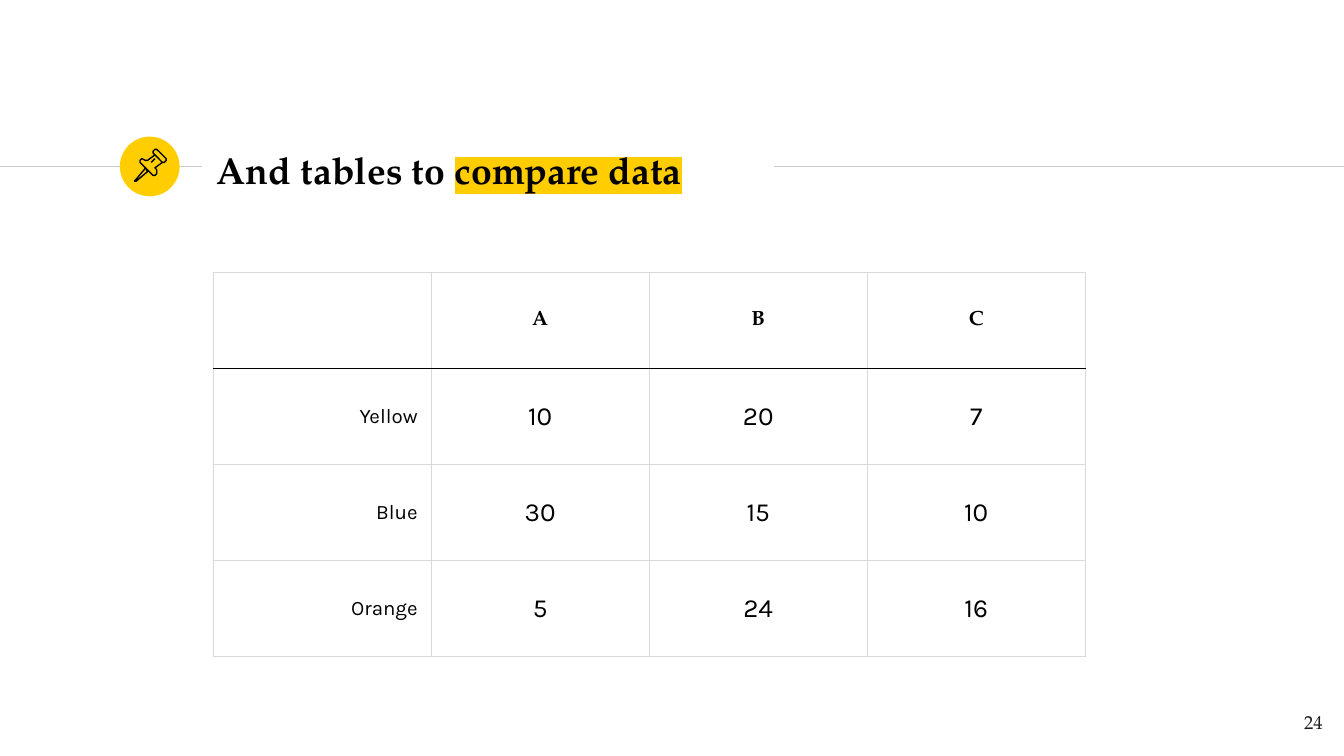
"""Build a slide with a highlighted title, a pin badge and a comparison table."""
from lxml import etree
from pptx import Presentation
from pptx.dml.color import RGBColor
from pptx.enum import shapes, text
from pptx.oxml import ns
from pptx.util import Pt

BLACK = RGBColor(0x00, 0x00, 0x00)
INK = RGBColor(0x1D, 0x1D, 0x1B)
YELLOW = RGBColor(0xFF, 0xCD, 0x00)
RULE = RGBColor(0xCC, 0xCC, 0xCC)
GRID = RGBColor(0xD9, 0xD9, 0xD9)
SERIF, SANS = "TeX Gyre Pagella", "Karla"
THIN = Pt(0.75)

TITLE = [("And tables to ", None), ("compare data", YELLOW)]
ROWS = [
    ("", "A", "B", "C"),
    ("Yellow", "10", "20", "7"),
    ("Blue", "30", "15", "10"),
    ("Orange", "5", "24", "16"),
]
PAGE = "24"
COL_W, ROW_H = 116.8, 51.4
RULE_Y = 89.2
RULE_SPANS = [(0, 108.2), (414.8, 720)]
PIN = [
    ([(77.8, 90), (72.9, 96.4), (72.2, 97.4), (73.2, 96.7), (79.4, 91.6)], True),
    ([(82.8, 83), (86.6, 86.8), (87.5, 87), (88.4, 86.7), (89.1, 86.2),
      (89.4, 85.7), (89.1, 85.3), (83.9, 80.2), (83.4, 80.1), (82.7, 80.5),
      (82.3, 81.2), (82.2, 82)], True),
    ([(82.8, 83), (79.2, 86), (78, 85.5), (76.5, 85.4), (75.2, 85.9),
      (74.6, 86.5), (74.7, 87), (82.2, 94.4), (82.8, 94.5), (83.4, 93.9),
      (83.8, 92.6), (83.7, 91.2), (83.2, 90), (86.6, 86.8)], False),
    ([(80.6, 87.2), (82.9, 85)], False),
]


def sub(parent, tag, **attrs):
    return etree.SubElement(parent, ns.qn(tag), attrs)


def add_run(p, words, size, font=SERIF, bold=False, color=BLACK, highlight=None):
    r = p.add_run()
    r.text = words
    r.font.size, r.font.name, r.font.bold = Pt(size), font, bold
    r.font.color.rgb = color
    if highlight is not None:
        mark = etree.Element(ns.qn("a:highlight"))
        sub(mark, "a:srgbClr", val=str(highlight))
        r.font._element.find(ns.qn("a:solidFill")).addnext(mark)


def setup_frame(tf, anchor):
    tf.word_wrap = True
    tf.auto_size = text.MSO_AUTO_SIZE.NONE
    tf.vertical_anchor = anchor
    tf.margin_left = tf.margin_right = tf.margin_top = tf.margin_bottom = Pt(7.2)


def add_rule(s, x1, x2):
    line = s.shapes.add_connector(
        shapes.MSO_CONNECTOR.STRAIGHT, Pt(x1), Pt(RULE_Y), Pt(x2), Pt(RULE_Y))
    line.line.color.rgb, line.line.width = RULE, THIN
    sub(line._element.spPr, "a:effectLst")


def add_badge(s):
    sp = s.shapes.add_shape(
        shapes.MSO_SHAPE.OVAL, Pt(64.2), Pt(73.2), Pt(32), Pt(32))
    sp.shadow.inherit = False
    sp.fill.solid()
    sp.fill.fore_color.rgb = YELLOW
    sp.line.fill.background()


def add_pin(s):
    for points, closed in PIN:
        builder = s.shapes.build_freeform(*points[0], scale=Pt(1))
        builder.add_line_segments(points[1:], close=closed)
        sp = builder.convert_to_shape()
        sp.shadow.inherit = False
        sp.fill.background()
        sp.line.color.rgb, sp.line.width = BLACK, THIN


def add_title(s):
    title = s.shapes.title
    title.left, title.top, title.width, title.height = map(
        Pt, (108.8, 73.4, 305.4, 34.6))
    setup_frame(title.text_frame, text.MSO_ANCHOR.MIDDLE)
    p = title.text_frame.paragraphs[0]
    p.alignment = text.PP_ALIGN.LEFT
    for words, highlight in TITLE:
        add_run(p, words, 20, bold=True, highlight=highlight)


def set_borders(cell, top, bottom):
    tc_pr = cell._tc.get_or_add_tcPr()
    for side, color in (("L", GRID), ("R", GRID), ("T", top), ("B", bottom)):
        ln = sub(tc_pr, f"a:ln{side}", w=str(THIN))
        sub(sub(ln, "a:solidFill"), "a:srgbClr", val=str(color))


def add_data_table(s):
    n_rows, n_cols = len(ROWS), len(ROWS[0])
    table = s.shapes.add_table(
        n_rows, n_cols, Pt(114.2), Pt(146),
        Pt(COL_W * n_cols), Pt(ROW_H * n_rows)).table
    table.first_row = table.horz_banding = False
    for column in table.columns:
        column.width = Pt(COL_W)
    for i, values in enumerate(ROWS):
        table.rows[i].height = Pt(ROW_H)
        for j, value in enumerate(values):
            cell = table.cell(i, j)
            set_borders(cell, BLACK if i == 1 else GRID, BLACK if i == 0 else GRID)
            cell.fill.background()
            cell.vertical_anchor = text.MSO_ANCHOR.MIDDLE
            cell.margin_left = cell.margin_right = Pt(7.2)
            cell.margin_top = cell.margin_bottom = Pt(5)
            p = cell.text_frame.paragraphs[0]
            p.alignment = text.PP_ALIGN.CENTER if i == 0 or j else text.PP_ALIGN.RIGHT
            if value:
                add_run(p, value, 14 if i and j else 11,
                        SANS if i else SERIF, bold=i == 0)


def add_page_number(s):
    tf = s.shapes.add_textbox(Pt(672.5), Pt(373.7), Pt(43.2), Pt(31)).text_frame
    setup_frame(tf, text.MSO_ANCHOR.TOP)
    p = tf.paragraphs[0]
    p.alignment = text.PP_ALIGN.RIGHT
    add_run(p, PAGE, 10, color=INK)


def main():
    prs = Presentation()
    prs.slide_width, prs.slide_height = Pt(720), Pt(405)
    s = prs.slides.add_slide(prs.slide_layouts[5])
    for x1, x2 in RULE_SPANS:
        add_rule(s, x1, x2)
    add_badge(s)
    add_title(s)
    add_data_table(s)
    add_pin(s)
    add_page_number(s)
    prs.save("out.pptx")


if __name__ == "__main__":
    main()
